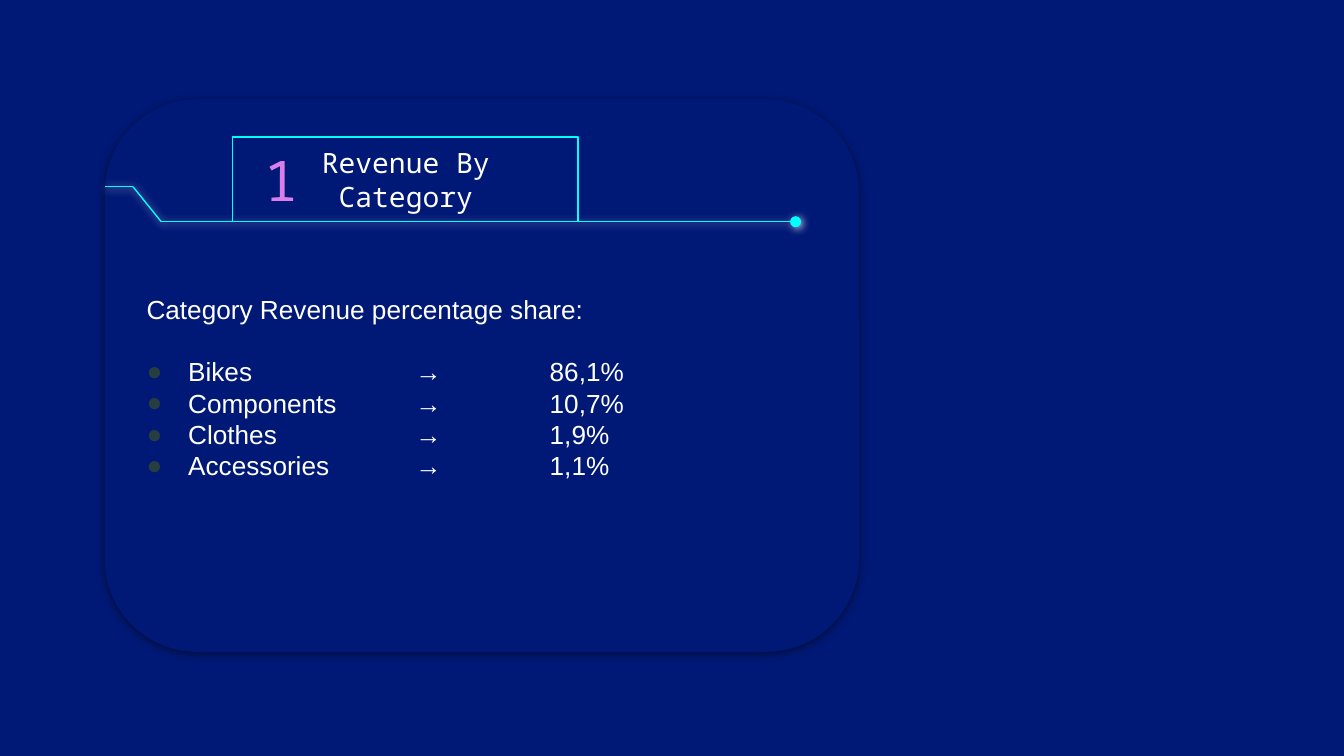
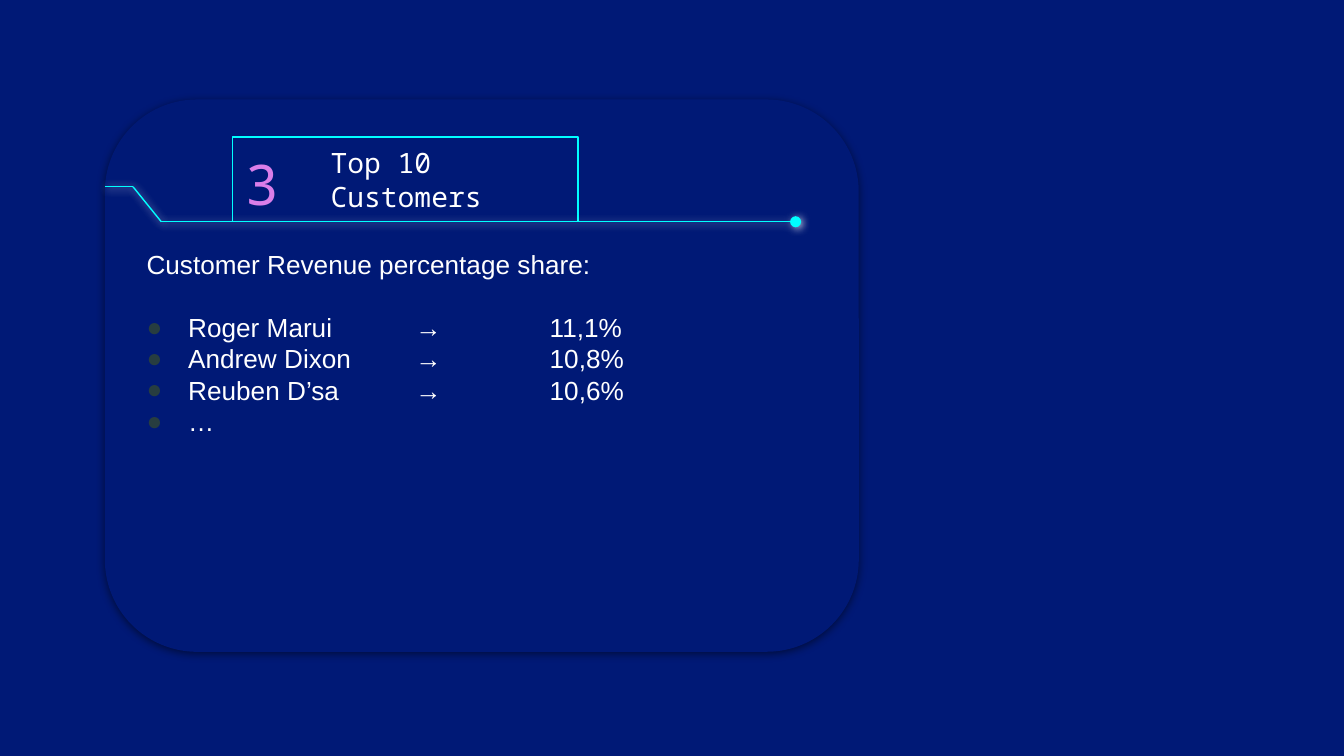
"""Build two revenue share slides with a shared card and heading style."""
import pptx
import pptx.dml.color
import pptx.enum.shapes
import pptx.enum.text
import pptx.oxml.ns
import pptx.util
from lxml import etree

Inches = pptx.util.Inches
Pt = pptx.util.Pt
RGBColor = pptx.dml.color.RGBColor
Align = pptx.enum.text.PP_ALIGN
Anchor = pptx.enum.text.MSO_ANCHOR

NAVY = RGBColor(0x00, 0x19, 0x76)
CYAN = RGBColor(0x00, 0xFF, 0xFF)
PINK = RGBColor(0xDA, 0x7E, 0xE9)
WHITE = RGBColor(0xFF, 0xFF, 0xFF)
BLACK = RGBColor(0x00, 0x00, 0x00)
BULLET = RGBColor(0x27, 0x3D, 0x40)

SLIDE_WIDTH = Inches(10)
SLIDE_HEIGHT = SLIDE_WIDTH * 9 // 16

BODY_FONT = {"name": "Arial", "size": Pt(14)}
TITLE_FONT = {"name": "Noto Sans Mono", "size": Pt(15)}
NUMBER_FONT = {"name": "Noto Sans Mono", "size": Pt(30)}
CARD_SHADOW = {"color": BLACK, "alpha": 50, "distance": 1.5, "angle": 90}
GLOW_SHADOW = {"color": WHITE, "alpha": 75, "distance": 0.8, "angle": 63}

CARD_BOX = (0.78, 0.74, 5.61, 4.11)
TITLE_BOX = (0.95, 0.28, 2.57, 0.63)
CIRCUIT_POINTS = [(0, 0.65), (0.21, 0.65), (0.42, 0.91), (5.14, 0.91)]
LINE_PITCH = Pt(16.8)
HANGING = Inches(0.31)
TAB_STOPS = (Inches(2), Inches(3))

SLIDES = [
    {
        "number": "1",
        "number_at": (0.95, 0.23),
        "title": "Revenue By Category",
        "title_format": {"alignment": Align.CENTER},
        "title_inset": 0.11,
        "body_box": (0.21, 1.34, 5.14, 2.06),
        "heading": "Category Revenue percentage share:",
        "rows": [("Bikes", "86,1%"), ("Components", "10,7%"),
                 ("Clothes", "1,9%"), ("Accessories", "1,1%")],
    },
    {
        "number": "3",
        "number_at": (0.81, 0.26),
        "title": "Top 10 Customers",
        "title_format": {"alignment": Align.LEFT},
        "title_inset": 0.73,
        "body_box": (0.21, 1.01, 5.14, 2.93),
        "heading": "Customer Revenue percentage share:",
        "rows": [("Roger Marui", "11,1%"), ("Andrew Dixon", "10,8%"),
                 ("Reuben D’sa", "10,6%"), ("…",)],
    },
]


def apply(target, values):
    """Set each named attribute on the target."""
    for name, value in values.items():
        setattr(target, name, value)


def add_element(parent, tag, **attributes):
    """Append a DrawingML element and return it."""
    child = etree.SubElement(parent, pptx.oxml.ns.qn(tag))
    for name, value in attributes.items():
        child.set(name, str(value))
    return child


def add_shadow(shape, color, alpha, distance, angle):
    """Give a shape a soft outer shadow."""
    effects = add_element(shape.element.spPr, "a:effectLst")
    shadow = add_element(effects, "a:outerShdw", blurRad=Pt(4.5), dist=Pt(distance),
                         dir=angle * 60000, algn="bl", rotWithShape=0)
    tint = add_element(shadow, "a:srgbClr", val=color)
    add_element(tint, "a:alpha", val=alpha * 1000)


def place(shape, box, offset):
    """Move a shape to a box given relative to an offset."""
    left, top, width, height = box
    apply(shape, {"left": Inches(offset[0] + left), "top": Inches(offset[1] + top),
                  "width": Inches(width), "height": Inches(height)})


def format_frame(frame, anchor, left_inset=0.1):
    """Set the wrapping, anchor and insets of a text frame."""
    apply(frame, {"word_wrap": True, "auto_size": pptx.enum.text.MSO_AUTO_SIZE.NONE,
                  "vertical_anchor": anchor, "margin_left": Inches(left_inset),
                  "margin_right": Inches(0.1), "margin_top": Inches(0.1),
                  "margin_bottom": Inches(0.1)})


def write(paragraph, text, font, color, layout):
    """Write one formatted run into a paragraph."""
    apply(paragraph, layout)
    run = paragraph.add_run()
    run.text = text
    apply(run.font, font)
    run.font.color.rgb = color


def outline(line):
    """Apply the thin cyan stroke."""
    line.color.rgb = CYAN
    line.width = Pt(0.75)


def add_card(slide, box):
    """Place the rounded card behind everything else on the slide."""
    card = slide.shapes.add_shape(pptx.enum.shapes.MSO_SHAPE.ROUNDED_RECTANGLE,
                                  *map(Inches, box))
    card.adjustments[0] = 0.167
    card.fill.solid()
    card.fill.fore_color.rgb = NAVY
    card.line.fill.background()
    add_shadow(card, **CARD_SHADOW)
    card.element.getparent().insert(2, card.element)


def add_circuit(slide, box):
    """Draw the bent glowing line that ends in a dot."""
    group = slide.shapes.add_group_shape()
    points = [(Inches(box[0] + x), Inches(box[1] + y)) for x, y in CIRCUIT_POINTS]
    for start, end in zip(points, points[1:]):
        segment = group.shapes.add_connector(
            pptx.enum.shapes.MSO_CONNECTOR.STRAIGHT, *start, *end)
        outline(segment.line)
        if end == points[-1]:
            stroke = segment.element.spPr.find(pptx.oxml.ns.qn("a:ln"))
            add_element(stroke, "a:tailEnd", type="oval", w="med", len="med")
        add_shadow(segment, **GLOW_SHADOW)


def add_heading(slide, box, content):
    """Place the framed title and its number."""
    title = slide.shapes.title
    place(title, TITLE_BOX, box)
    outline(title.line)
    format_frame(title.text_frame, Anchor.MIDDLE, content["title_inset"])
    write(title.text_frame.paragraphs[0], content["title"], TITLE_FONT, WHITE,
          content["title_format"])
    number = slide.shapes.add_textbox(0, 0, 0, 0)
    place(number, (*content["number_at"], 0.73, 0.73), box)
    format_frame(number.text_frame, Anchor.MIDDLE)
    write(number.text_frame.paragraphs[0], content["number"], NUMBER_FONT, PINK,
          {"alignment": Align.CENTER})


def add_shares(slide, box, content):
    """Fill the body with a heading and a tabbed bullet list."""
    body = slide.placeholders[1]
    place(body, content["body_box"], box)
    frame = body.text_frame
    format_frame(frame, Anchor.TOP)
    layout = {"alignment": Align.LEFT, "line_spacing": LINE_PITCH, "space_before": Pt(0)}
    heading = frame.paragraphs[0]
    properties = heading._p.get_or_add_pPr()
    apply_indent(properties, 0)
    add_element(properties, "a:buNone")
    write(heading, content["heading"], BODY_FONT, WHITE, layout)
    for index, row in enumerate(content["rows"]):
        paragraph = frame.add_paragraph()
        add_bullet(paragraph)
        gap = Pt(0) if index else LINE_PITCH
        write(paragraph, "\t→\t".join(row), BODY_FONT, WHITE,
              {**layout, "space_before": gap})


def apply_indent(properties, indent):
    """Set a hanging indent on paragraph properties."""
    properties.set("marL", str(indent))
    properties.set("indent", str(-indent))


def add_bullet(paragraph):
    """Give a paragraph a round bullet and its tab stops."""
    properties = paragraph._p.get_or_add_pPr()
    apply_indent(properties, HANGING)
    add_element(add_element(properties, "a:buClr"), "a:srgbClr", val=BULLET)
    add_element(properties, "a:buFont", typeface="Arial")
    add_element(properties, "a:buChar", char="●")
    tabs = add_element(properties, "a:tabLst")
    for position in TAB_STOPS:
        add_element(tabs, "a:tab", pos=position, algn="l")


def add_share_slide(presentation, content):
    """Add one slide with its card, heading and list."""
    slide = presentation.slides.add_slide(presentation.slide_layouts[1])
    add_card(slide, CARD_BOX)
    add_shares(slide, CARD_BOX, content)
    add_circuit(slide, CARD_BOX)
    add_heading(slide, CARD_BOX, content)


def main():
    """Build and save the presentation."""
    presentation = pptx.Presentation()
    apply(presentation, {"slide_width": SLIDE_WIDTH, "slide_height": SLIDE_HEIGHT})
    background = presentation.slide_master.background.fill
    background.solid()
    background.fore_color.rgb = NAVY
    for content in SLIDES:
        add_share_slide(presentation, content)
    presentation.save("out.pptx")


if __name__ == "__main__":
    main()
